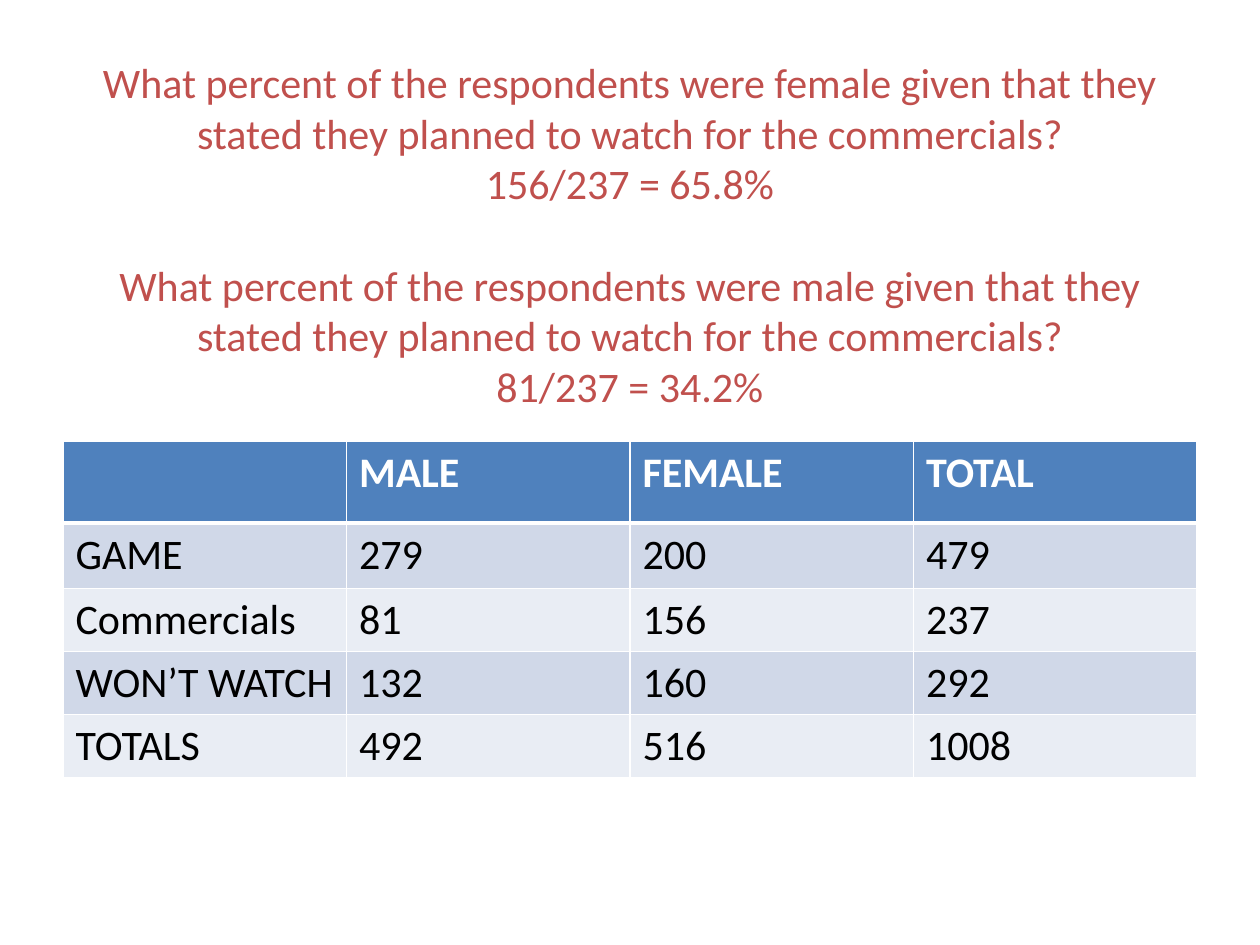
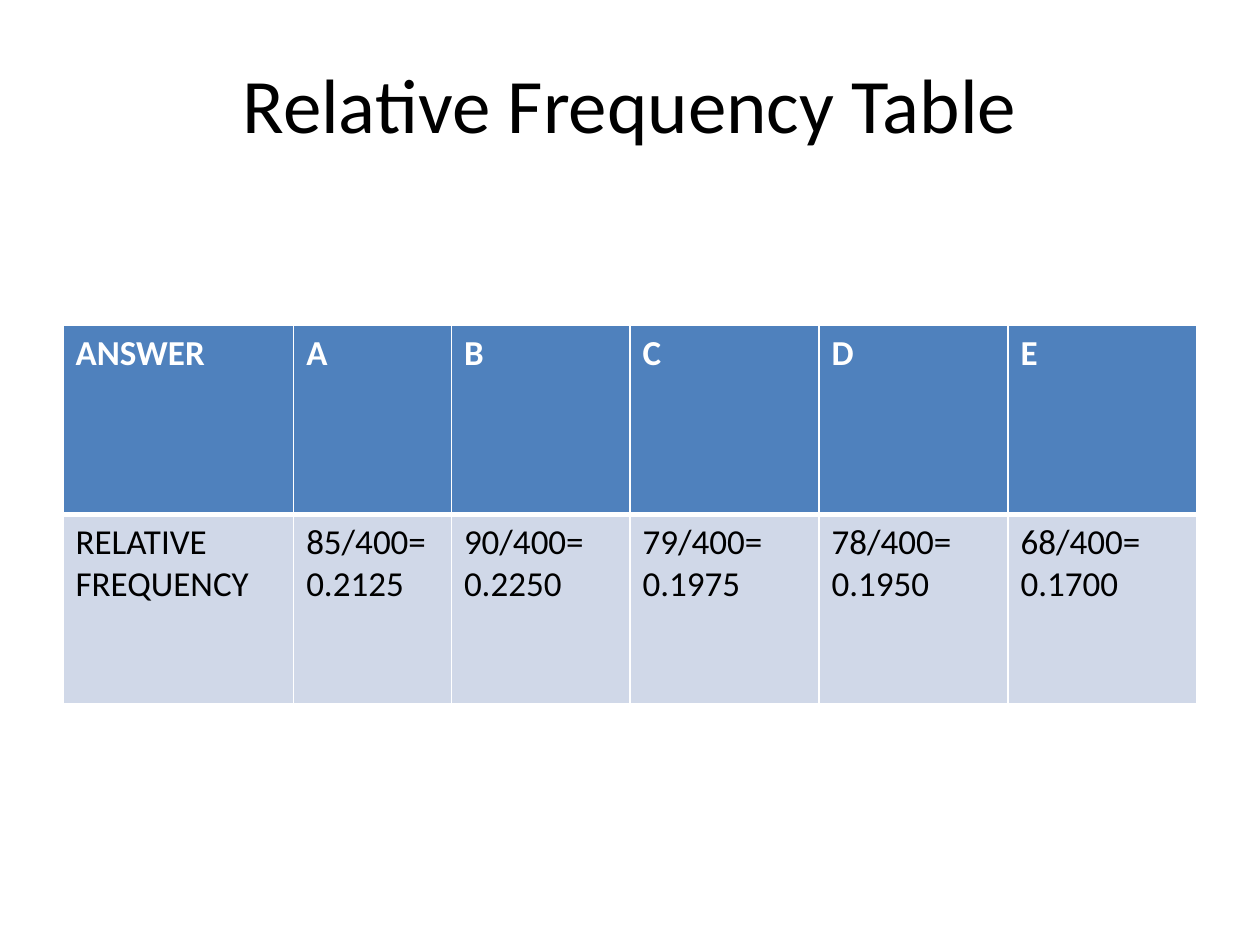
"""Builds two slides on conditional percentages and relative frequencies."""
import pptx
import pptx.dml.color
import pptx.enum.text
import pptx.oxml
import pptx.oxml.ns
import pptx.util
from pptx.util import Cm, Pt

RGBColor = pptx.dml.color.RGBColor
BLACK = RGBColor(0x00, 0x00, 0x00)
WHITE = RGBColor(0xFF, 0xFF, 0xFF)
RED = RGBColor(0xC0, 0x50, 0x4D)
BLUE = RGBColor(0x4F, 0x81, 0xBD)
BANDS = [RGBColor(0xD0, 0xD8, 0xE8), RGBColor(0xE9, 0xED, 0xF4)]
FONT = "Calibri"
LEFT, WIDTH = Cm(1.27), Cm(22.86)
TITLE_TOP = Cm(0.76)


def write(frame, lines, size, color, bold=False, align=None):
    for index, line in enumerate(lines):
        paragraph = frame.paragraphs[0] if index == 0 else frame.add_paragraph()
        paragraph.alignment = align
        run = paragraph.add_run()
        run.text = line
        run.font.name = FONT
        run.font.size = Pt(size)
        run.font.bold = bold
        run.font.color.rgb = color


deck = pptx.Presentation()
deck.slide_width, deck.slide_height = Cm(25.4), Cm(19.05)

questions = [
    "What percent of the respondents were female given that they stated they planned to watch for the commercials?",
    "156/237 = 65.8%",
    "What percent of the respondents were male given that they stated they planned to watch for the commercials?",
    "81/237 = 34.2%",
]
survey = [
    ["", "MALE", "FEMALE", "TOTAL"],
    ["GAME", "279", "200", "479"],
    ["Commercials", "81", "156", "237"],
    ["WON’T WATCH", "132", "160", "292"],
    ["TOTALS", "492", "516", "1008"],
]
frequencies = [
    ["ANSWER", "A", "B", "C", "D", "E"],
    ["RELATIVE FREQUENCY", "85/400=\n0.2125", "90/400=\n0.2250",
     "79/400=\n0.1975", "78/400=\n0.1950", "68/400=\n0.1700"],
]
pages = [
    dict(title=questions, title_size=24, title_color=RED, title_height=7.9,
         data=survey, size=24, top=8.89,
         widths=[22.86 / 4] * 4, heights=[1.65, 1.32, 1.27, 1.27, 1.27]),
    dict(title=["Relative Frequency Table"], title_size=44, title_color=BLACK,
         title_height=2.62, data=frequencies, size=20, top=6.56,
         widths=[4.65, 3.18, 3.6, 3.81, 3.81, 3.81], heights=[3.81, 3.81]),
]

for page in pages:
    slide = deck.slides.add_slide(deck.slide_layouts[6])

    heading = slide.shapes.add_textbox(LEFT, TITLE_TOP, WIDTH, Cm(page["title_height"])).text_frame
    heading.word_wrap = True
    heading.vertical_anchor = pptx.enum.text.MSO_ANCHOR.MIDDLE
    write(heading, page["title"], page["title_size"], page["title_color"],
          align=pptx.enum.text.PP_ALIGN.CENTER)
    for later_question in heading.paragraphs[2::2]:
        later_question.space_before = Pt(29.3)

    grid = slide.shapes.add_table(len(page["data"]), len(page["widths"]), LEFT, Cm(page["top"]),
                                  WIDTH, Cm(sum(page["heights"]))).table
    for column, width in zip(grid.columns, page["widths"]):
        column.width = Cm(width)
    for row, height in zip(grid.rows, page["heights"]):
        row.height = Cm(height)

    for r, values in enumerate(page["data"]):
        header = r == 0
        edges = {"lnL": 1, "lnR": 1, "lnT": 3 if r == 1 else 1, "lnB": 3 if header else 1}
        for c, value in enumerate(values):
            cell = grid.cell(r, c)
            properties = cell._tc.get_or_add_tcPr()
            for edge, points in edges.items():
                properties.append(pptx.oxml.parse_xml(
                    f'<a:{edge} {pptx.oxml.ns.nsdecls("a")} w="{Pt(points)}"><a:solidFill>'
                    f'<a:srgbClr val="{WHITE}"/></a:solidFill></a:{edge}>'))
            cell.fill.solid()
            cell.fill.fore_color.rgb = BLUE if header else BANDS[(r - 1) % 2]
            if value:
                write(cell.text_frame, value.split("\n"), page["size"],
                      WHITE if header else BLACK, bold=header)

deck.save("out.pptx")
